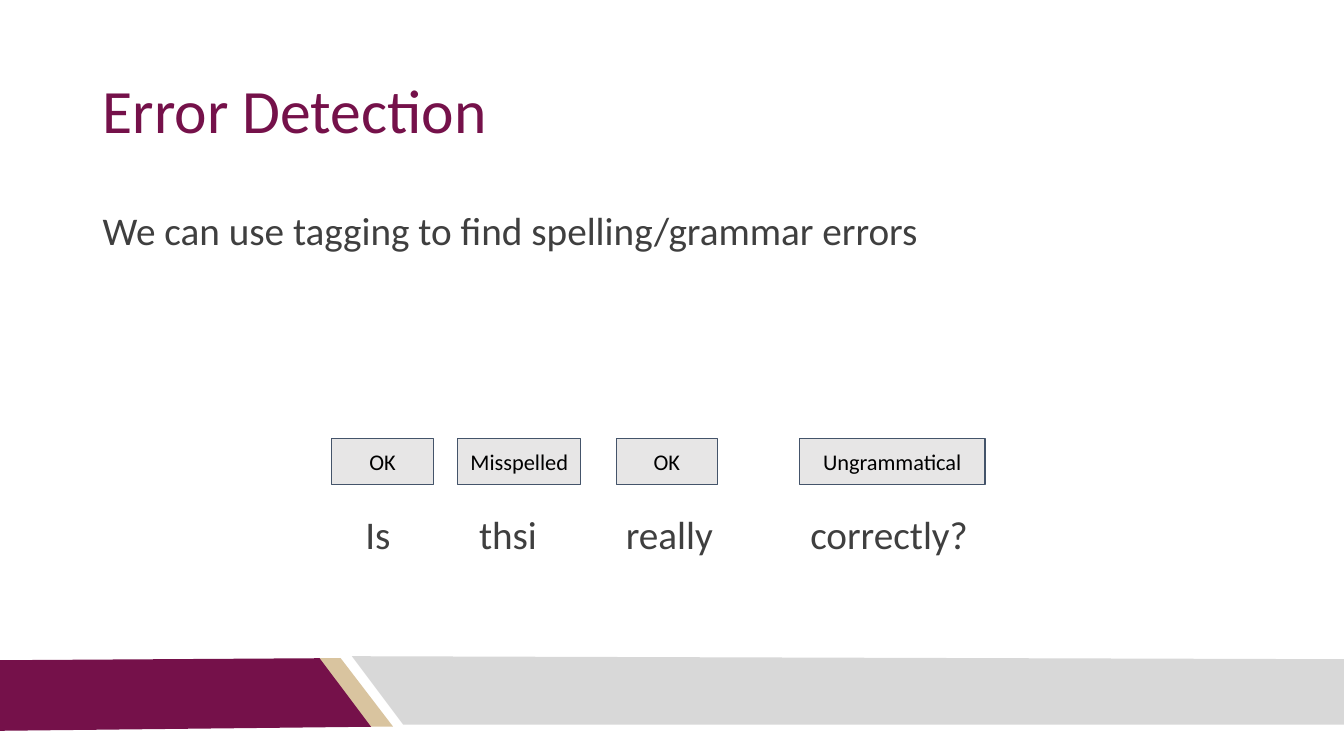
from lxml import etree
from pptx import Presentation
from pptx import util as u
from pptx.dml.color import RGBColor
from pptx.enum import shapes, text
from pptx.oxml import ns

WIDTH, HEIGHT = 13.33, 7.5
FONT = "Calibri"
MAROON, GOLD, SILVER = "75114A", "D9C49F", "D8D8D8"
BODY_GREY, TAG_FILL, TAG_LINE, BLACK = "3F3F3F", "E7E6E6", "44546A", "000000"

HEADING = "Error Detection"
STATEMENT = "We can use tagging to find spelling/grammar errors"
TAGGED_WORDS = [
    # word, word centre, tag, tag left, tag width
    ("Is", 3.75, "OK", 3.29, 1.01),
    ("thsi", 5.04, "Misspelled", 4.54, 1.22),
    ("really", 6.64, "OK", 6.11, 1.01),
    ("correctly?", 8.82, "Ungrammatical", 7.93, 1.84),
][:]
FOOTER_BANDS = [
    (GOLD, [(3.16, 6.53), (3.38, 6.53), (3.9, 7.21), (3.67, 7.21)]),
    (MAROON, [(0, 6.55), (3.17, 6.53), (3.68, 7.21), (0, 7.25)]),
    (SILVER, [(WIDTH, 7.19), (4, 7.19), (3.49, 6.51), (WIDTH, 6.54)]),
]

MARGIN, COLUMN, INSET = 0.92, 11.5, 0.1
SENTENCE_LEFT = 0.87
TAG_TOP, TAG_HEIGHT = 4.35, 0.46


def color(hex_string):
    return RGBColor.from_string(hex_string)


def write(box, words, size, hex_string, align, anchor, spacing=0.9):
    frame = box.text_frame
    frame.word_wrap = True
    frame.auto_size = text.MSO_AUTO_SIZE.NONE
    frame.vertical_anchor = anchor
    frame.margin_left = frame.margin_right = u.Inches(INSET)
    frame.margin_top = frame.margin_bottom = u.Inches(INSET)
    frame.text = words
    line = frame.paragraphs[0]
    line.alignment = align
    line.line_spacing = spacing
    line.space_before = u.Pt(0)
    for run in line.runs:
        run.font.name = FONT
        run.font.size = u.Pt(size)
        run.font.color.rgb = color(hex_string)
    return line


def place(left, top, width, height):
    return [u.Inches(length) for length in (left, top, width, height)]


def add_band(slide, hex_string, corners):
    points = [(u.Inches(x), u.Inches(y)) for x, y in corners]
    builder = slide.shapes.build_freeform(*points[0])
    builder.add_line_segments(points[1:], close=True)
    band = builder.convert_to_shape()
    band.shadow.inherit = False
    band.fill.solid()
    band.fill.fore_color.rgb = color(hex_string)
    band.line.fill.background()


def add_tag(slide, label, left, width):
    tag = slide.shapes.add_shape(
        shapes.MSO_SHAPE.RECTANGLE, *place(left, TAG_TOP, width, TAG_HEIGHT))
    tag.shadow.inherit = False
    tag.fill.solid()
    tag.fill.fore_color.rgb = color(TAG_FILL)
    tag.line.color.rgb = color(TAG_LINE)
    tag.line.width = u.Pt(0.75)
    write(tag, label, 16, BLACK, text.PP_ALIGN.CENTER, text.MSO_ANCHOR.MIDDLE, 1.0)


def add_centre_tabs(line, centres):
    tabs = etree.SubElement(line._p.get_or_add_pPr(), ns.qn("a:tabLst"))
    for centre in centres:
        offset = u.Inches(centre - SENTENCE_LEFT - INSET)
        etree.SubElement(tabs, ns.qn("a:tab"), pos=str(int(offset)), algn="ctr")


def main():
    deck = Presentation()
    deck.slide_width, deck.slide_height = u.Inches(WIDTH), u.Inches(HEIGHT)
    slide = deck.slides.add_slide(deck.slide_layouts[5])
    left, top, middle = text.PP_ALIGN.LEFT, text.MSO_ANCHOR.TOP, text.MSO_ANCHOR.MIDDLE

    for hex_string, corners in FOOTER_BANDS:
        add_band(slide, hex_string, corners)

    title = slide.shapes.title
    title.left, title.top, title.width, title.height = place(MARGIN, 0.4, COLUMN, 1.45)
    write(title, HEADING, 44, MAROON, left, middle)

    statement = slide.shapes.add_textbox(*place(MARGIN, 2, COLUMN, 1))
    write(statement, STATEMENT, 28, BODY_GREY, left, top)

    sentence = slide.shapes.add_textbox(*place(SENTENCE_LEFT, 5.02, COLUMN, 1))
    words = "".join("\t" + word for word, *_ in TAGGED_WORDS)
    line = write(sentence, words, 28, BODY_GREY, left, top)
    add_centre_tabs(line, [centre for _, centre, *_ in TAGGED_WORDS])

    for _, _, label, tag_left, tag_width in TAGGED_WORDS:
        add_tag(slide, label, tag_left, tag_width)

    deck.save("out.pptx")


if __name__ == "__main__":
    main()
